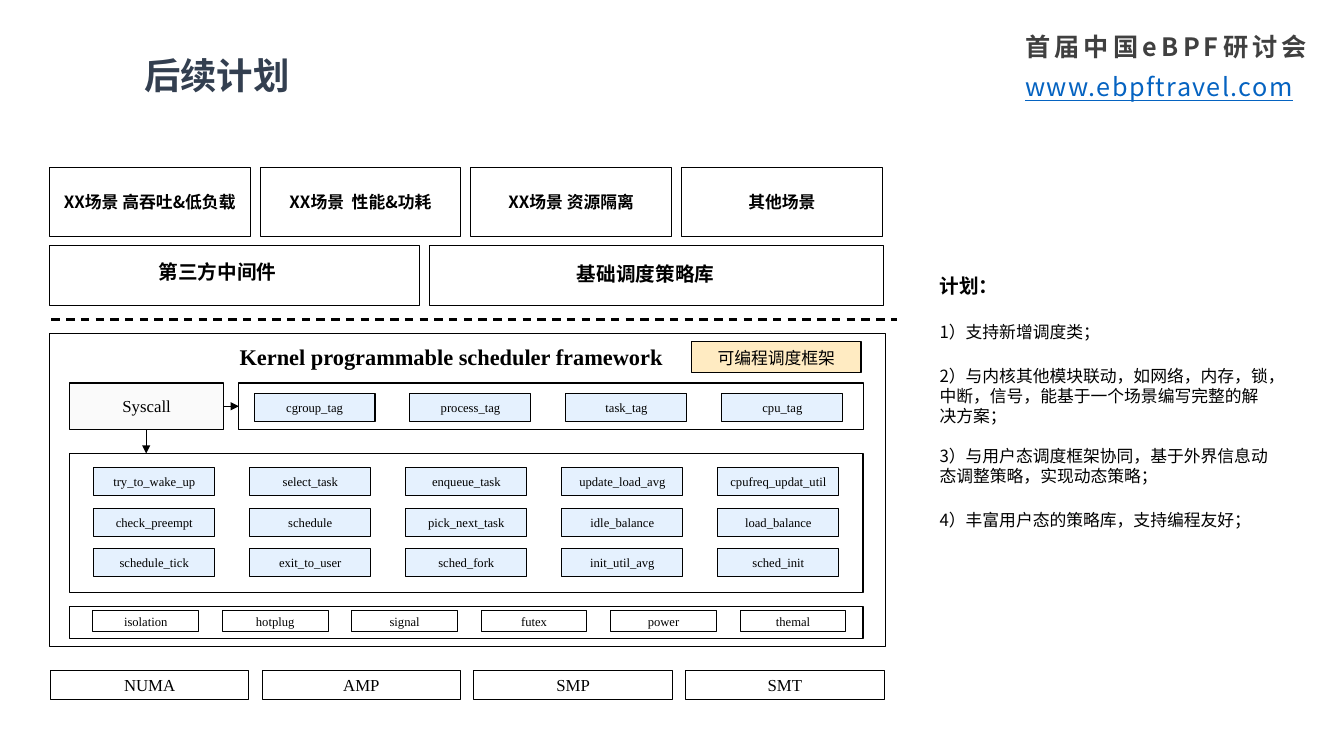
"""Build the follow-up plan slide with the programmable scheduler framework diagram."""
from lxml.etree import SubElement
from pptx import Presentation
from pptx.dml.color import RGBColor
from pptx.enum.dml import MSO_LINE
from pptx.enum.shapes import MSO_CONNECTOR, MSO_SHAPE
from pptx.enum.text import MSO_ANCHOR as Anchor, MSO_AUTO_SIZE as AutoSize, PP_ALIGN as Align
from pptx.oxml.ns import qn
from pptx.util import Inches, Pt

SANS, SERIF = "Noto Sans CJK SC", "Times New Roman"
BLUE = "E5F1FE"


def color(value):
    return RGBColor.from_string(value)


def block(place, lines=(), size=12, font=SERIF, bold=False, ink="000000", align=Align.CENTER,
          fill=None, framed=True, inset=(0.1, 0.05), gaps=(0,), spacing=0, underline=None):
    area = [Inches(value) for value in place]
    if framed:
        item = slide.shapes.add_shape(MSO_SHAPE.RECTANGLE, *area)
        item.shadow.inherit = False
        item.line.color.rgb = color("000000")
        item.line.width = Pt(0.75)
        if fill:
            item.fill.solid()
            item.fill.fore_color.rgb = color(fill)
        else:
            item.fill.background()
    else:
        item = slide.shapes.add_textbox(*area)
    frame = item.text_frame
    across, down = (Inches(value) for value in inset)
    layout = {"word_wrap": True, "margin_left": across, "margin_right": across,
              "margin_top": down, "margin_bottom": down,
              "vertical_anchor": Anchor.MIDDLE if framed else Anchor.TOP,
              "auto_size": AutoSize.NONE if framed else AutoSize.SHAPE_TO_FIT_TEXT}
    for name, value in layout.items():
        setattr(frame, name, value)
    for index, line in enumerate(lines):
        paragraph = frame.paragraphs[0] if index == 0 else frame.add_paragraph()
        paragraph.alignment = align
        paragraph.space_before = Pt(gaps[index])
        run = paragraph.add_run()
        run.text = line
        heading = index == 0 and len(lines) > 1
        style = {"size": Pt(14 if heading else size), "bold": bold or heading,
                 "name": font, "underline": underline}
        for name, value in style.items():
            setattr(run.font, name, value)
        run.font.color.rgb = color(ink)
        properties = run.font._element
        SubElement(properties, qn("a:ea")).set("typeface", font)
        if spacing:
            properties.set("spc", str(spacing * 100))


deck = Presentation()
deck.slide_width, deck.slide_height = Inches(13.33), Inches(7.5)
slide = deck.slides.add_slide(deck.slide_layouts[6])

block((10.07, 0.26, 3.17, 0.4), ["首届中国eBPF研讨会"], 18, SANS, True, "404040",
      Align.LEFT, framed=False, spacing=3)
block((10.07, 0.66, 3.17, 0.4), ["www.ebpftravel.com"], 18, SANS, False, "0563C1",
      Align.LEFT, framed=False, spacing=1, underline=True)
block((1.43, 0.53, 11.5, 0.44), ["后续计划"], 26, SANS, True, "333F50",
      Align.LEFT, framed=False, inset=(0, 0))

panels = [(0.49, 2.44, 3.67, 0.59), (4.26, 2.44, 4.5, 0.59), (0.49, 3.31, 8.29, 3.1),
          (2.37, 3.8, 6.19, 0.46), (0.69, 4.5, 7.87, 1.38), (0.69, 6.02, 7.87, 0.31)]
for panel in panels:
    block(panel)

captions = [((0.61, 2.53, 3.1, 0.34), "第三方中间件", 14, SANS),
            ((4.23, 2.55, 4.35, 0.34), "基础调度策略库", 14, SANS),
            ((1.6, 3.36, 5.75, 0.37), "Kernel programmable scheduler framework", 16, SERIF)]
for place, caption, size, font in captions:
    block(place, [caption], size, font, True, framed=False)

block((6.86, 3.39, 1.68, 0.31), ["可编程调度框架"], font=SANS, fill="FFEBC2", inset=(0.09, 0.04))
block((0.69, 3.8, 1.53, 0.46), ["Syscall"], fill="FAFAFA", inset=(0.09, 0.04))

scenarios = ["XX场景 高吞吐&低负载", "XX场景  性能&功耗", "XX场景 资源隔离", "其他场景"]
tags = ["cgroup_tag", "process_tag", "task_tag", "cpu_tag"]
hooks = [
    ["try_to_wake_up", "select_task", "enqueue_task", "update_load_avg", "cpufreq_updat_util"],
    ["check_preempt", "schedule", "pick_next_task", "idle_balance", "load_balance"],
    ["schedule_tick", "exit_to_user", "sched_fork", "init_util_avg", "sched_init"],
]
modules = ["isolation", "hotplug", "signal", "futex", "power", "themal"]
platforms = ["NUMA", "AMP", "SMP", "SMT"]

small = {"size": 9, "fill": BLUE}
rows = [(scenarios, 0.49, 6.76, 1.66, 1.99, 0.69,
         {"font": SANS, "bold": True, "inset": (0.09, 0.04)}),
        (tags, 2.52, 7.16, 3.9, 1.2, 0.28, small),
        (modules, 0.92, 7.34, 6.06, 1.05, 0.21, {"size": 9, "fill": "FFFFFF"}),
        (platforms, 0.5, 6.8, 6.65, 1.97, 0.29, {"inset": (0.09, 0.04)})]
for level, names in enumerate(hooks):
    rows.append((names, 0.93, 7.12, 4.64 + 0.4 * level, 1.2, 0.28, small))
for names, first, last, top, width, height, style in rows:
    pitch = (last - first) / (len(names) - 1)
    for column, label in enumerate(names):
        block((first + column * pitch, top, width, height), [label], **style)

links = [(0.51, 3.17, 8.9, 3.17, 1.5, False),
         (2.22, 4.03, 2.37, 4.03, 0.75, True),
         (1.45, 4.26, 1.45, 4.5, 0.75, True)]
for *ends, weight, arrow in links:
    link = slide.shapes.add_connector(MSO_CONNECTOR.STRAIGHT, *[Inches(end) for end in ends])
    link.line.color.rgb = color("000000")
    link.line.width = Pt(weight)
    if arrow:
        SubElement(link.line._get_or_add_ln(), qn("a:tailEnd")).set("type", "triangle")
    else:
        link.line.dash_style = MSO_LINE.DASH
    SubElement(link._element.spPr, qn("a:effectLst"))

plan = ["计划：",
        "1）支持新增调度类；",
        "2）与内核其他模块联动，如网络，内存，锁，中断，信号，能基于一个场景编写完整的解决方案；",
        "3）与用户态调度框架协同，基于外界信息动态调整策略，实现动态策略；",
        "4）丰富用户态的策略库，支持编程友好；"]
block((9.22, 2.67, 3.51, 2.66), plan, font=SANS, align=Align.LEFT, framed=False,
      gaps=(0, 17, 17, 14, 17))

deck.save("out.pptx")
